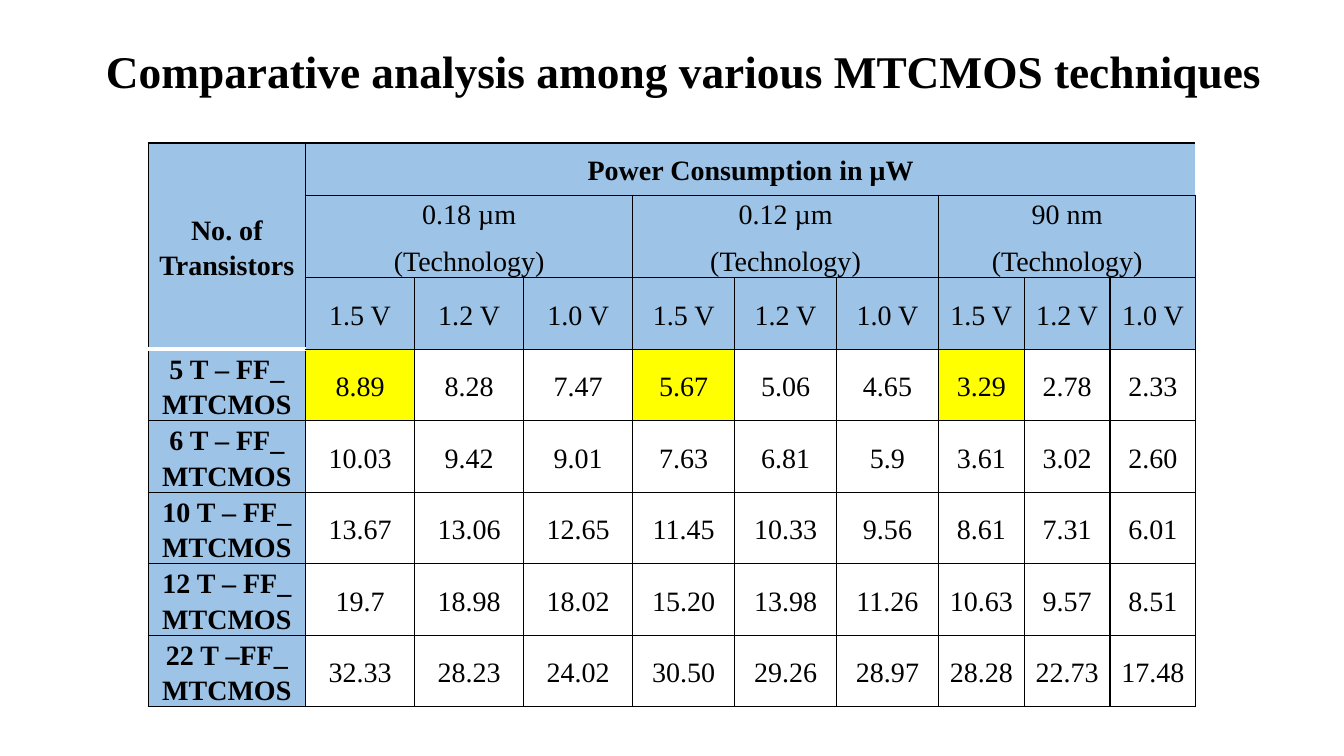
from dataclasses import dataclass

from lxml import etree
from pptx import Presentation
from pptx.dml.color import RGBColor
from pptx.enum.text import MSO_ANCHOR, MSO_AUTO_SIZE, PP_ALIGN
from pptx.oxml.ns import qn
from pptx.slide import Slide
from pptx.table import Table, _Cell
from pptx.text.text import _Paragraph
from pptx.util import Pt

CENTER = PP_ALIGN.CENTER
MIDDLE = MSO_ANCHOR.MIDDLE
NO_FIT = MSO_AUTO_SIZE.NONE


@dataclass(frozen=True)
class Theme:
    font: str = "Times New Roman"
    title_size: float = 32.4
    cell_size: float = 20
    black: str = "000000"
    white: str = "FFFFFF"
    header: str = "9DC3E6"
    highlight: str = "FFFF00"


THEME = Theme()


@dataclass(frozen=True)
class Edge:
    color: str = THEME.black
    width: float = 1


@dataclass(frozen=True)
class CellSpec:
    row: int
    col: int
    lines: tuple[str, ...]
    fill: str = THEME.header
    bold: bool = False
    row_span: int = 1
    col_span: int = 1
    left: Edge = Edge()
    right: Edge = Edge()
    top: Edge = Edge()
    bottom: Edge = Edge()


TECHNOLOGIES = ("0.18 µm", "0.12 µm", "90 nm")
VOLTAGES = ("1.5 V", "1.2 V", "1.0 V")
POWER = {
    "5 T – FF_ MTCMOS": "8.89 8.28 7.47 5.67 5.06 4.65 3.29 2.78 2.33",
    "6 T – FF_ MTCMOS": "10.03 9.42 9.01 7.63 6.81 5.9 3.61 3.02 2.60",
    "10 T – FF_ MTCMOS": "13.67 13.06 12.65 11.45 10.33 9.56 8.61 7.31 6.01",
    "12 T – FF_ MTCMOS": "19.7 18.98 18.02 15.20 13.98 11.26 10.63 9.57 8.51",
    "22 T –FF_ MTCMOS": "32.33 28.23 24.02 30.50 29.26 28.97 28.28 22.73 17.48",
}
HEADER_ROWS = 3
GROUP = len(VOLTAGES)
COL_WIDTHS = [112.5] + [w for w in (77.9, 72.8, 61.3) for _ in VOLTAGES]
ROW_HEIGHTS = [37.2, 59] + [51.1] * (1 + len(POWER))


def add_run(p: _Paragraph, text: str, size: float, bold: bool) -> None:
    r = p.add_run()
    r.text = text
    r.font.name = THEME.font
    r.font.size = Pt(size)
    r.font.bold = bold
    r.font.color.rgb = RGBColor.from_string(THEME.black)


def set_edge(cell: _Cell, tag: str, edge: Edge) -> None:
    ln = etree.SubElement(cell._tc.get_or_add_tcPr(), qn(tag), w=str(Pt(edge.width)))
    fill = etree.SubElement(ln, qn("a:solidFill"))
    etree.SubElement(fill, qn("a:srgbClr"), val=edge.color)


def style_cell(cell: _Cell, spec: CellSpec) -> None:
    set_edge(cell, "a:lnL", spec.left)
    set_edge(cell, "a:lnR", spec.right)
    set_edge(cell, "a:lnT", spec.top)
    set_edge(cell, "a:lnB", spec.bottom)
    cell.fill.solid()
    cell.fill.fore_color.rgb = RGBColor.from_string(spec.fill)
    cell.vertical_anchor = MIDDLE
    cell.margin_left = cell.margin_right = Pt(4.9)
    cell.margin_top = cell.margin_bottom = Pt(0)


def draw_cell(table: Table, spec: CellSpec) -> None:
    last_row = spec.row + spec.row_span - 1
    last_col = spec.col + spec.col_span - 1
    for row in range(spec.row, last_row + 1):
        for col in range(spec.col, last_col + 1):
            style_cell(table.cell(row, col), spec)
    cell = table.cell(spec.row, spec.col)
    if (last_row, last_col) != (spec.row, spec.col):
        cell.merge(table.cell(last_row, last_col))
    tf = cell.text_frame
    for i, line in enumerate(spec.lines):
        p = tf.add_paragraph() if i else tf.paragraphs[0]
        p.alignment = CENTER
        p.line_spacing = 1.15
        p.space_after = Pt(8)
        add_run(p, line, THEME.cell_size, spec.bold)


def build_specs() -> list[CellSpec]:
    specs = [
        CellSpec(0, 0, ("No. of Transistors",), bold=True, row_span=HEADER_ROWS,
                 bottom=Edge(THEME.white, 3)),
        CellSpec(0, 1, ("Power Consumption in μW",), bold=True,
                 col_span=GROUP * len(TECHNOLOGIES), right=Edge(THEME.white)),
    ]
    for g, technology in enumerate(TECHNOLOGIES):
        first = 1 + g * GROUP
        specs.append(CellSpec(1, first, (technology, "(Technology)"), col_span=GROUP))
        specs += [CellSpec(2, first + v, (volts,)) for v, volts in enumerate(VOLTAGES)]
    for row, (name, values) in enumerate(POWER.items(), HEADER_ROWS):
        lowest = row == HEADER_ROWS
        top = Edge(THEME.white) if lowest else Edge()
        specs.append(CellSpec(row, 0, (name,), bold=True, top=top))
        for i, value in enumerate(values.split()):
            marked = lowest and i % GROUP == 0
            fill = THEME.highlight if marked else THEME.white
            specs.append(CellSpec(row, i + 1, (value,), fill=fill))
    return specs


def add_title(s: Slide, text: str) -> None:
    sp = s.shapes.title
    sp.left, sp.top, sp.width, sp.height = Pt(33.1), Pt(15.1), Pt(894.2), Pt(75.6)
    tf = sp.text_frame
    tf.word_wrap = True
    tf.auto_size = NO_FIT
    tf.vertical_anchor = MIDDLE
    tf.margin_left = Pt(23.4)
    p = tf.paragraphs[0]
    p.alignment = CENTER
    p.line_spacing = 0.9
    add_run(p, text, THEME.title_size, True)


def add_power_table(s: Slide) -> None:
    table = s.shapes.add_table(
        len(ROW_HEIGHTS), len(COL_WIDTHS), Pt(105.8), Pt(102.2),
        Pt(sum(COL_WIDTHS)), Pt(sum(ROW_HEIGHTS))).table
    table.first_row = False
    table.horz_banding = False
    for column, width in zip(table.columns, COL_WIDTHS):
        column.width = Pt(width)
    for row, height in zip(table.rows, ROW_HEIGHTS):
        row.height = Pt(height)
    for spec in build_specs():
        draw_cell(table, spec)


def main() -> None:
    prs = Presentation()
    prs.slide_width, prs.slide_height = Pt(960), Pt(540)
    s = prs.slides.add_slide(prs.slide_layouts[5])
    add_title(s, "Comparative analysis among various MTCMOS techniques")
    add_power_table(s)
    prs.save("out.pptx")


if __name__ == "__main__":
    main()
